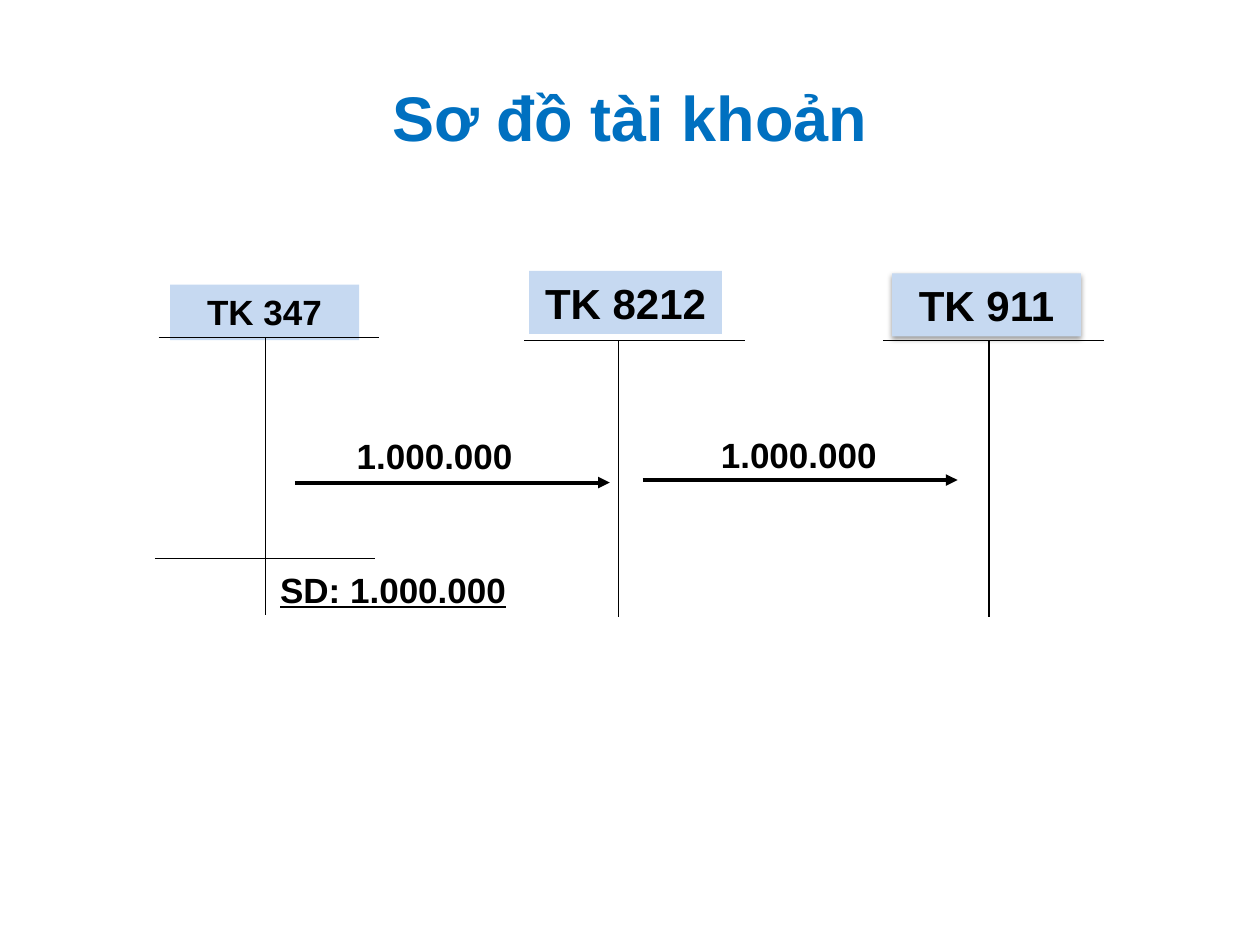
from lxml import etree
from pptx import Presentation
from pptx.dml.color import RGBColor
from pptx.enum.shapes import MSO_CONNECTOR, MSO_SHAPE
from pptx.enum.text import MSO_ANCHOR, PP_ALIGN
from pptx.oxml import parse_xml
from pptx.oxml.ns import nsdecls, qn
from pptx.util import Inches, Pt

BLUE = RGBColor(0x00, 0x70, 0xC0)
PALE = RGBColor(0xC6, 0xD9, 0xF1)
BLACK = RGBColor(0, 0, 0)

BAR_W, STEM_H = 1.75, 2.2
AMOUNT_W, AMOUNT_H = 2.58, 0.44
ARROW_W = 2.5

# Heading text, size, box; bar left and top; stem x; shadow
ACCOUNTS = [
    ("TK 8212", 24, (4.2, 2.15, 1.53, 0.5), 4.16, 2.7, 4.91, False),
    ("TK 911", 24, (7.08, 2.17, 1.5, 0.5), 7.01, 2.7, 7.85, True),
    ("TK 347", 20, (1.35, 2.26, 1.5, 0.44), 1.26, 2.68, 2.11, False),
]
# Amount, label left and top, arrow left and top
TRANSFERS = [
    ("1.000.000", 5.05, 3.39, 5.1, 3.81),
    ("1.000.000", 2.16, 3.4, 2.34, 3.83),
]


def write(sp, text, anchor=MSO_ANCHOR.TOP, **font):
    tf = sp.text_frame
    tf.word_wrap = True
    tf.vertical_anchor = anchor
    p = tf.paragraphs[0]
    p.alignment = PP_ALIGN.CENTER
    r = p.add_run()
    r.text = text
    r.font.color.rgb = font.pop("color", BLACK)
    for name, value in {"name": "Arial", "bold": True, **font}.items():
        setattr(r.font, name, value)


def add_text(s, text, box, size, **fmt):
    sp = s.shapes.add_textbox(*map(Inches, box))
    write(sp, text, size=Pt(size), **fmt)


def add_shadow(sp):
    effects = sp._element.spPr.find(qn("a:effectLst"))
    effects.append(parse_xml(
        f'<a:outerShdw {nsdecls("a")} blurRad="{Pt(3.1)}" dist="{Pt(1.6)}" '
        'dir="5400000" rotWithShape="0"><a:srgbClr val="000000">'
        '<a:alpha val="38000"/></a:srgbClr></a:outerShdw>'))


def add_heading(s, text, size, box, shadow):
    sp = s.shapes.add_shape(MSO_SHAPE.RECTANGLE, *map(Inches, box))
    sp.shadow.inherit = False
    sp.fill.solid()
    sp.fill.fore_color.rgb = PALE
    sp.line.fill.background()
    if shadow:
        add_shadow(sp)
    write(sp, text, size=Pt(size))


def add_line(s, x, y, dx=0, dy=0, width=0.75, arrow=False):
    line = s.shapes.add_connector(
        MSO_CONNECTOR.STRAIGHT, *map(Inches, (x, y, x + dx, y + dy)))
    line.line.color.rgb = BLACK
    line.line.width = Pt(width)
    if arrow:
        etree.SubElement(line.line._get_or_add_ln(), qn("a:tailEnd"),
                         type="triangle")
    etree.SubElement(line._element.spPr, qn("a:effectLst"))


def add_account(s, text, size, box, bar_x, top, stem_x, shadow):
    add_heading(s, text, size, box, shadow)
    add_line(s, bar_x, top, dx=BAR_W)
    add_line(s, stem_x, top, dy=STEM_H)


def add_transfer(s, amount, label_x, label_y, arrow_x, arrow_y):
    add_text(s, amount, (label_x, label_y, AMOUNT_W, AMOUNT_H), 20)
    add_line(s, arrow_x, arrow_y, dx=ARROW_W, width=2.25, arrow=True)


def main():
    prs = Presentation()
    prs.slide_width, prs.slide_height = Inches(10), Inches(7.5)
    s = prs.slides.add_slide(prs.slide_layouts[6])

    # Title
    add_text(s, "Sơ đồ tài khoản", (0.5, 0.3, 9, 1.25), 36,
             anchor=MSO_ANCHOR.MIDDLE, color=BLUE)

    # T accounts and the transfers between them
    for account in ACCOUNTS:
        add_account(s, *account)
    for transfer in TRANSFERS:
        add_transfer(s, *transfer)

    # Closing balance of the first account
    add_line(s, 1.23, 4.43, dx=BAR_W)
    add_text(s, "SD: 1.000.000", (1.83, 4.46, AMOUNT_W, AMOUNT_H), 20,
             underline=True)

    prs.save("out.pptx")


if __name__ == "__main__":
    main()
